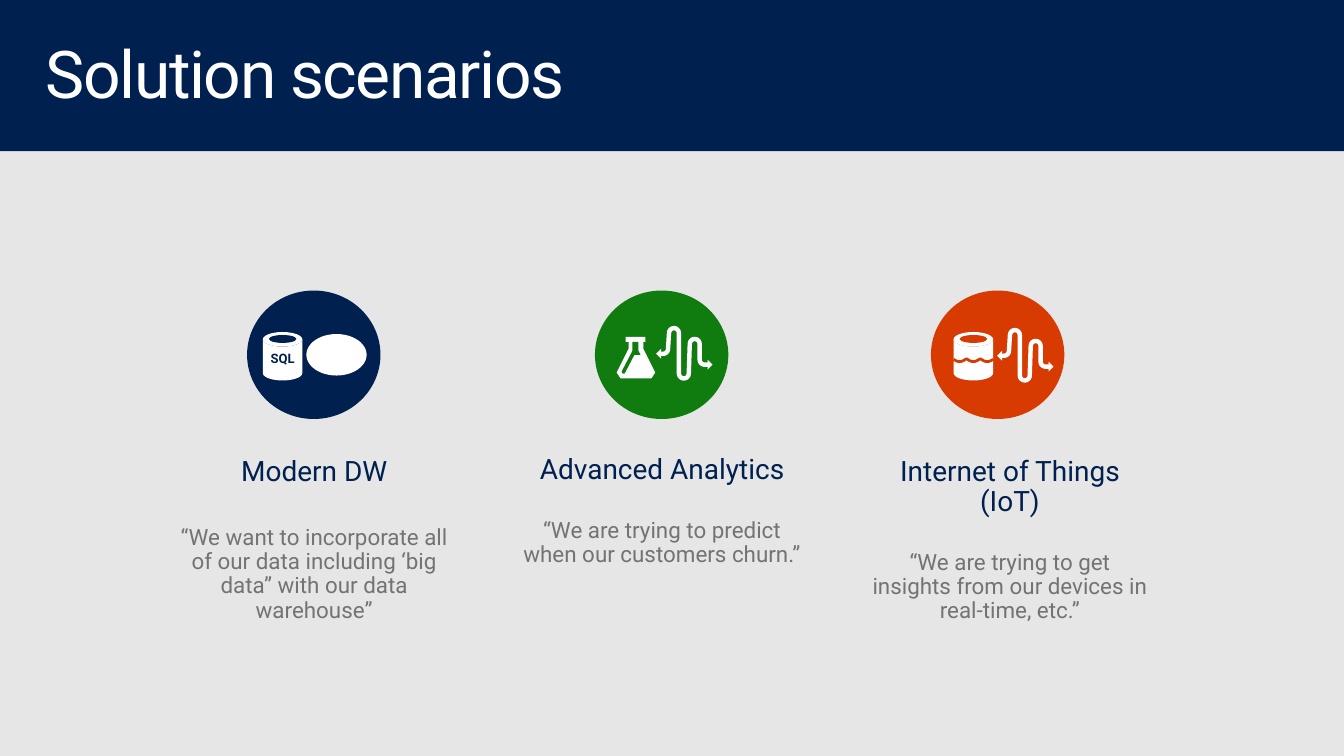
import math
import pptx
import pptx.util
import pptx.dml.color
import pptx.enum.shapes
import pptx.enum.text

Inches = pptx.util.Inches
Pt = pptx.util.Pt
RGBColor = pptx.dml.color.RGBColor
SHAPE = pptx.enum.shapes.MSO_SHAPE
ALIGN = pptx.enum.text.PP_ALIGN

NAVY = RGBColor(0x00, 0x20, 0x50)
GREEN = RGBColor(0x10, 0x7C, 0x10)
ORANGE = RGBColor(0xD8, 0x3B, 0x01)
WHITE = RGBColor(0xFF, 0xFF, 0xFF)
GRAY = RGBColor(0x73, 0x73, 0x73)
BACKGROUND = RGBColor(0xE6, 0xE6, 0xE6)
FONT = "Roboto"

deck = pptx.Presentation()
deck.slide_width, deck.slide_height = Inches(13.6), Inches(7.65)
page = deck.slides.add_slide(deck.slide_layouts[6])
page.background.fill.solid()
page.background.fill.fore_color.rgb = BACKGROUND


def add_filled(kind, left, top, width, height, color):
    shape = page.shapes.add_shape(
        kind, Inches(left), Inches(top), Inches(width), Inches(height))
    shape.shadow.inherit = False
    shape.fill.solid()
    shape.fill.fore_color.rgb = color
    shape.line.fill.background()
    return shape


def add_outline(points, color, stroke=None):
    corners = [(Inches(x), Inches(y)) for x, y in points]
    builder = page.shapes.build_freeform(*corners[0])
    builder.add_line_segments(corners[1:], close=stroke is None)
    shape = builder.convert_to_shape()
    shape.shadow.inherit = False
    if stroke is None:
        shape.fill.solid()
        shape.fill.fore_color.rgb = color
        shape.line.fill.background()
    else:
        shape.fill.background()
        shape.line.color.rgb = color
        shape.line.width = Pt(stroke)


add_filled(SHAPE.RECTANGLE, 0, 0, 13.6, 1.53, NAVY)

title = page.shapes.add_textbox(Inches(0.3), Inches(0.32), Inches(13.01), Inches(1))
title.text_frame.word_wrap = True
title.text_frame.margin_left = title.text_frame.margin_right = Inches(0.16)
title.text_frame.margin_top = title.text_frame.margin_bottom = Inches(0.1)
para = title.text_frame.paragraphs[0]
para.line_spacing = 0.9
para.font.name, para.font.size = FONT, Pt(48)
para.font.color.rgb = WHITE
span = para.add_run()
span.text = "Solution scenarios"
span._r.get_or_add_rPr().set("spc", "-100")

scenarios = [
    (1.58, 4.53, 2.29, 28, 2.5, NAVY, "Modern DW",
     "“We want to incorporate all of our data including ‘big data” with our data warehouse”"),
    (5.1, 4.51, 1.72, 24, 6.02, GREEN, "Advanced Analytics",
     "“We are trying to predict when our customers churn.”"),
    (8.62, 4.53, 1.97, 24, 9.42, ORANGE, "Internet of Things (IoT)",
     "“We are trying to get insights from our devices in real-time, etc.”"),
]
for left, top, height, gap, circle_left, color, heading, quote in scenarios:
    add_filled(SHAPE.OVAL, circle_left, 2.94, 1.35, 1.3, color)
    box = page.shapes.add_textbox(Inches(left), Inches(top), Inches(3.2), Inches(height))
    frame = box.text_frame
    frame.word_wrap = True
    frame.margin_left = frame.margin_right = Inches(0.16)
    frame.margin_top = frame.margin_bottom = Inches(0.1)
    lines = [(heading, 20.4, NAVY, gap), (quote, 16.3, GRAY, 3.1)]
    for index, (text, size, text_color, space) in enumerate(lines):
        para = frame.paragraphs[0] if index == 0 else frame.add_paragraph()
        para.text = text
        para.alignment = ALIGN.CENTER
        para.line_spacing = 0.9
        para.space_after = Pt(space)
        para.font.name, para.font.size = FONT, Pt(size)
        para.font.color.rgb = text_color

for left, color in [(2.66, NAVY), (9.65, ORANGE)]:
    database = add_filled(SHAPE.CAN, left, 3.36, 0.4, 0.49, WHITE)
    database.adjustments[0] = 0.37
    add_filled(SHAPE.OVAL, left + 0.06, 3.39, 0.28, 0.08, color)

label = page.shapes.add_textbox(Inches(2.66), Inches(3.52), Inches(0.4), Inches(0.22))
label.text_frame.margin_left = label.text_frame.margin_right = 0
label.text_frame.margin_top = label.text_frame.margin_bottom = 0
label.text_frame.vertical_anchor = pptx.enum.text.MSO_ANCHOR.MIDDLE
para = label.text_frame.paragraphs[0]
para.text = "SQL"
para.alignment = ALIGN.CENTER
para.font.name, para.font.size, para.font.bold = FONT, Pt(9.5), True
para.font.color.rgb = NAVY

add_filled(SHAPE.OVAL, 3.1, 3.38, 0.61, 0.42, WHITE)

water = [(9.65 + step / 100,
          3.63 + 0.03 * abs(math.sin(math.pi * (step - 13) / 14)))
         for step in range(41)]
add_outline(water, ORANGE, 2)

flask = [(6.33, 3.41), (6.53, 3.41), (6.53, 3.46), (6.51, 3.46), (6.51, 3.53),
         (6.63, 3.77), (6.59, 3.83), (6.28, 3.83), (6.24, 3.77), (6.36, 3.53),
         (6.36, 3.46), (6.33, 3.46)]
flask_hollow = [(6.4, 3.46), (6.4, 3.55), (6.29, 3.76), (6.3, 3.78), (6.32, 3.78),
                (6.42, 3.59), (6.48, 3.59), (6.46, 3.55), (6.46, 3.46)]
add_outline(flask, WHITE)
add_outline(flask_hollow, GREEN)

bends = [(0.07, 0.24, 90, 0), (0.18, 0.08, 180, 360), (0.28, 0.49, 180, 0),
         (0.39, 0.19, 180, 360), (0.49, 0.35, 180, 90)]
stream = [(0.04, 0.29)]
for center_x, center_y, start, end in bends:
    for step in range(9):
        angle = math.radians(start + (end - start) * step / 8)
        stream.append((center_x + 0.05 * math.cos(angle),
                       center_y + 0.05 * math.sin(angle)))
stream.append((0.53, 0.4))
left_head = [(0, 0.29), (0.05, 0.24), (0.05, 0.34)]
right_head = [(0.57, 0.4), (0.52, 0.35), (0.52, 0.45)]
for left, top in [(6.64, 3.29), (10.09, 3.31)]:
    for points, stroke in [(stream, 3.2), (left_head, None), (right_head, None)]:
        add_outline([(left + x, top + y) for x, y in points], WHITE, stroke)

deck.save("out.pptx")
